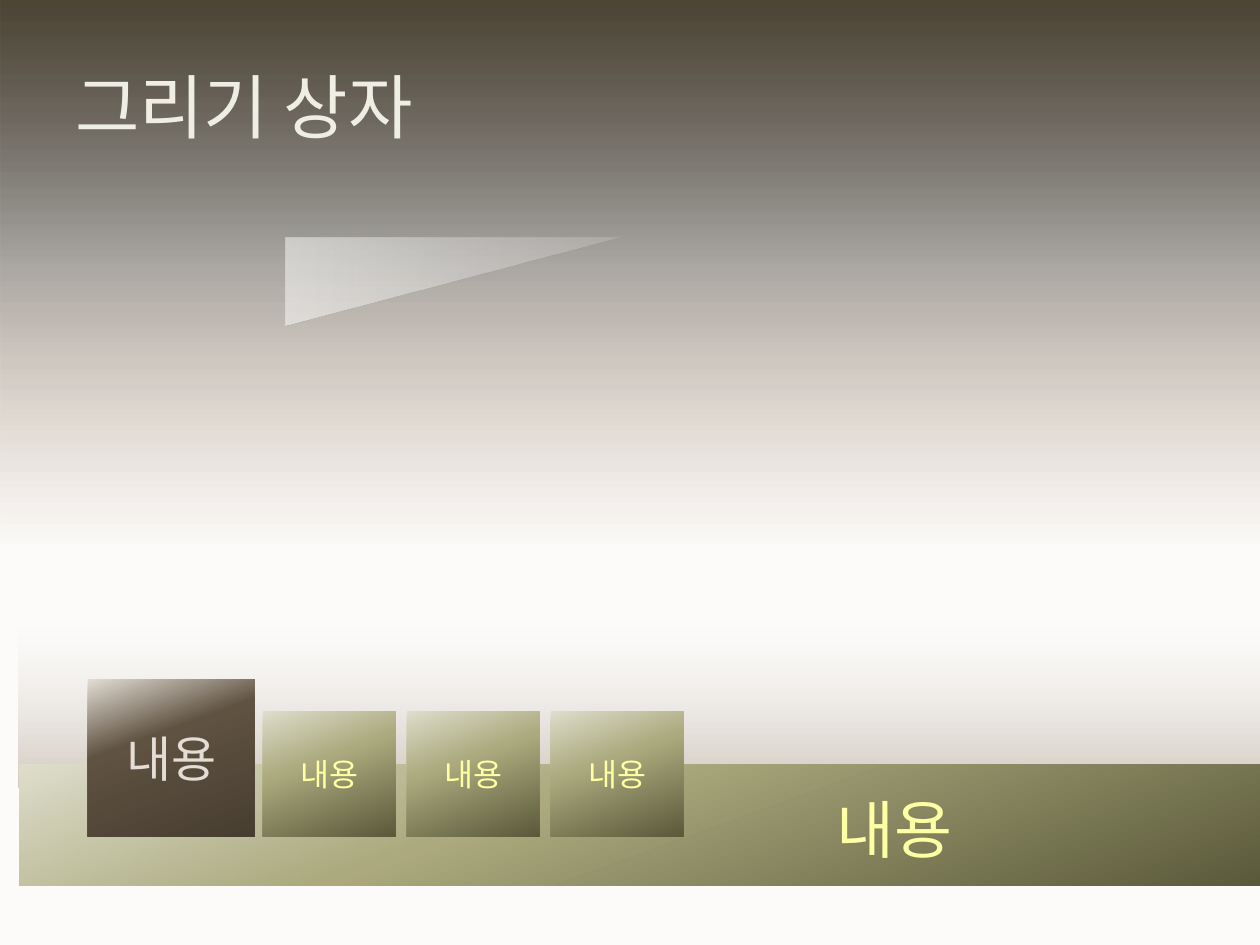
from dataclasses import dataclass
from typing import Optional

from pptx import Presentation
from pptx.dml.color import RGBColor
from pptx.enum.shapes import MSO_SHAPE
from pptx.enum.text import MSO_ANCHOR, MSO_AUTO_SIZE, PP_ALIGN
from pptx.oxml import parse_xml
from pptx.oxml.ns import nsdecls, qn
from pptx.util import Pt

COLORS = {
    "shade": "1E1400",
    "shade_mid": "0F0A00",
    "amber": "996633",
    "haze": "F0EDE9",
    "mist": "D1C8BC",
    "taupe": "8F7B63",
    "olive_light": "DDDDCB",
    "olive": "ABA97D",
    "olive_dark": "5A593A",
    "sand": "E3DDD5",
    "brown": "5F5241",
    "brown_dark": "473E31",
    "white": "FFFFFF",
    "title": "EEEEE5",
    "yellow": "FFFFA3",
}


@dataclass(frozen=True)
class Stop:
    position: int
    color: str
    opacity: int = 100


@dataclass(frozen=True)
class Gradient:
    angle: int
    stops: tuple[Stop, ...]


@dataclass(frozen=True)
class Area:
    left: float
    top: float
    width: float
    height: float

    def lengths(self) -> tuple:
        return Pt(self.left), Pt(self.top), Pt(self.width), Pt(self.height)


@dataclass(frozen=True)
class Label:
    text: str
    size: int
    color: str
    font: str = "Arial"
    align: PP_ALIGN = PP_ALIGN.CENTER


@dataclass(frozen=True)
class Panel:
    area: Area
    fill: Gradient | Stop
    label: Optional[Label] = None
    kind: MSO_SHAPE = MSO_SHAPE.RECTANGLE
    rotation: int = 0


SKY = Gradient(90, (Stop(0, "shade", 59), Stop(45, "shade_mid", 23), Stop(100, "amber", 0)))
FOG = Gradient(90, (Stop(23, "mist", 0), Stop(100, "taupe", 39)))
OLIVE = Gradient(70, (Stop(0, "olive_light"), Stop(40, "olive"), Stop(100, "olive_dark")))
BROWN = Gradient(70, (Stop(0, "sand"), Stop(37, "brown"), Stop(100, "brown_dark")))
GLOW = Gradient(90, (Stop(0, "white", 15), Stop(50, "white", 30), Stop(100, "white", 50)))

SKY_AREA = Area(0, 0, 720, 312)
TILE_LEFT, TILE_STEP, TILE_COUNT = 150.3, 82.2, 3
TILE_LABEL = Label("내용", 18, "yellow")


def color_xml(stop: Stop) -> str:
    return (f'<a:srgbClr val="{COLORS[stop.color]}">'
            f'<a:alpha val="{stop.opacity * 1000}"/></a:srgbClr>')


def fill_xml(fill: Gradient | Stop) -> str:
    if isinstance(fill, Stop):
        return f'<a:solidFill {nsdecls("a")}>{color_xml(fill)}</a:solidFill>'
    stops = "".join(f'<a:gs pos="{stop.position * 1000}">{color_xml(stop)}</a:gs>'
                    for stop in fill.stops)
    return (f'<a:gradFill {nsdecls("a")} rotWithShape="1"><a:gsLst>{stops}</a:gsLst>'
            f'<a:lin ang="{fill.angle * 60000}" scaled="1"/></a:gradFill>')


def write_label(frame, label: Label) -> None:
    frame.word_wrap = True
    frame.vertical_anchor = MSO_ANCHOR.MIDDLE
    para = frame.paragraphs[0]
    para.text = label.text
    para.alignment = label.align
    para.font.name = label.font
    para.font.size = Pt(label.size)
    para.font.color.rgb = RGBColor.from_string(COLORS[label.color])


def draw_panel(page, panel: Panel) -> None:
    shape = page.shapes.add_shape(panel.kind, *panel.area.lengths())
    shape.rotation = panel.rotation
    shape.shadow.inherit = False
    shape.line.fill.background()
    shape.fill.background()
    properties = shape.element.spPr
    properties.replace(properties.find(qn("a:noFill")), parse_xml(fill_xml(panel.fill)))
    if panel.label:
        write_label(shape.text_frame, panel.label)


def draw_text(page, area: Area, label: Label):
    box = page.shapes.add_textbox(*area.lengths())
    write_label(box.text_frame, label)
    return box.text_frame


def main() -> None:
    deck = Presentation()
    deck.slide_width, deck.slide_height = Pt(720), Pt(540)
    page = deck.slides.add_slide(deck.slide_layouts[6])

    backdrop = [
        Panel(SKY_AREA, SKY),
        Panel(Area(0, 0, 720, 540), Stop(0, "haze", 20)),
        Panel(SKY_AREA, SKY),
        Panel(Area(10.8, 332, 709.2, 118), FOG),
        Panel(Area(11, 436.7, 709, 69.3), OLIVE),
    ]
    for panel in backdrop:
        draw_panel(page, panel)

    draw_text(page, Area(36, 23.8, 648, 72.7),
              Label("그리기 상자", 40, "title", "DejaVu Sans", PP_ALIGN.LEFT))

    for index in range(TILE_COUNT):
        area = Area(TILE_LEFT + index * TILE_STEP, 406.5, 75.8, 71.6)
        draw_panel(page, Panel(area, OLIVE, TILE_LABEL))
    draw_panel(page, Panel(Area(50.3, 388, 95.2, 90.1), BROWN, Label("내용", 28, "sand")))

    caption = draw_text(page, Area(478, 451.5, 155.5, 44),
                        Label("내용", 36, "yellow", align=PP_ALIGN.LEFT))
    caption.margin_left = caption.margin_right = Pt(0)
    caption.margin_top = caption.margin_bottom = Pt(0)
    caption.auto_size = MSO_AUTO_SIZE.SHAPE_TO_FIT_TEXT

    draw_panel(page, Panel(Area(234, 65.5, 49.7, 190.8), GLOW,
                           kind=MSO_SHAPE.RIGHT_TRIANGLE, rotation=90))
    deck.save("out.pptx")


if __name__ == "__main__":
    main()
